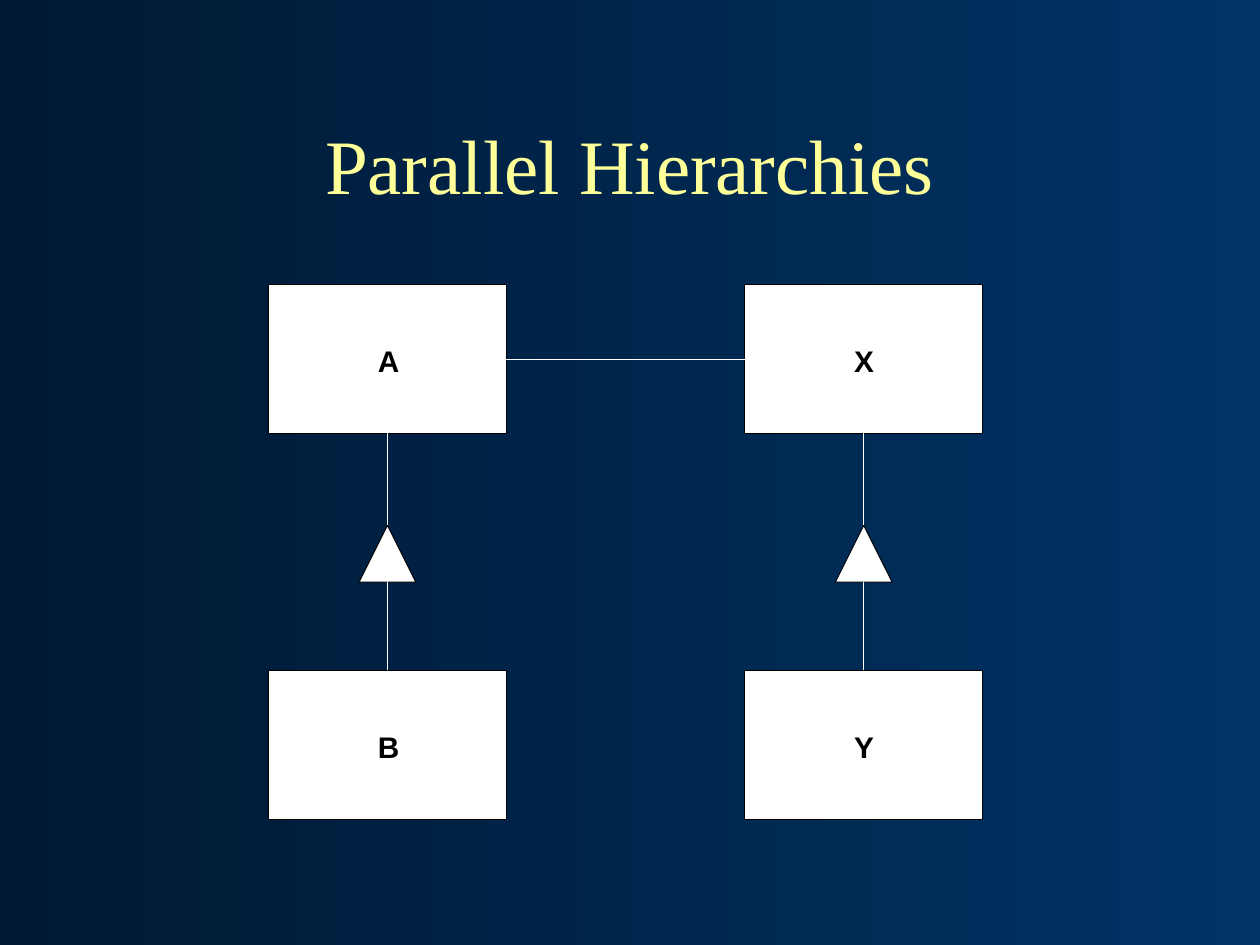
from pptx import Presentation
from pptx.dml.color import RGBColor
from pptx.enum.shapes import MSO_CONNECTOR, MSO_SHAPE
from pptx.enum.text import MSO_ANCHOR, PP_ALIGN
from pptx.oxml.ns import qn
from pptx.util import Inches, Pt
from lxml import etree

RECT = MSO_SHAPE.RECTANGLE
PEAK = MSO_SHAPE.ISOSCELES_TRIANGLE
LINE = MSO_CONNECTOR.STRAIGHT
MIDDLE = MSO_ANCHOR.MIDDLE
TOP = MSO_ANCHOR.TOP
CENTER = PP_ALIGN.CENTER
LEFT = PP_ALIGN.LEFT

BLUE = RGBColor(0x00, 0x33, 0x66)
NAVY = RGBColor(0x00, 0x19, 0x32)
YELLOW = RGBColor(0xFF, 0xFF, 0x99)
WHITE = RGBColor(0xFF, 0xFF, 0xFF)
BLACK = RGBColor(0x00, 0x00, 0x00)

deck = Presentation()
deck.slide_width = Inches(10)
deck.slide_height = Inches(7.5)
slide = deck.slides.add_slide(deck.slide_layouts[6])
shapes = slide.shapes

back = slide.background.fill
back.gradient()
back.gradient_angle = 180
for stop, color in zip(back.gradient_stops, (BLUE, NAVY)):
    stop.color.rgb = color


def add_text(text, x, y, w, h, font, size, color, bold=False,
             align=LEFT, anchor=TOP, wrap=False, inset=(0, 0)):
    box = shapes.add_textbox(Inches(x), Inches(y), Inches(w), Inches(h))
    frame = box.text_frame
    frame.word_wrap = wrap
    frame.vertical_anchor = anchor
    frame.margin_left = frame.margin_right = Inches(inset[0])
    frame.margin_top = frame.margin_bottom = Inches(inset[1])
    para = frame.paragraphs[0]
    para.alignment = align
    run = para.add_run()
    run.text = text
    run.font.name = font
    run.font.size = Pt(size)
    run.font.bold = bold
    run.font.color.rgb = color


def add_block(kind, x, y, w, h):
    block = shapes.add_shape(kind, Inches(x), Inches(y), Inches(w), Inches(h))
    block.shadow.inherit = False
    block.fill.solid()
    block.fill.fore_color.rgb = WHITE
    block.line.color.rgb = BLACK
    block.line.width = Pt(0.5)
    return block


add_text("Parallel Hierarchies", 0.75, 0.67, 8.5, 1.25, font="Times New Roman",
         size=44, color=YELLOW, align=CENTER, anchor=MIDDLE, wrap=True,
         inset=(0.1, 0.05))

WIDE, HIGH = 1.89, 1.18
SIDE = 0.45
PEAK_TOP = 4.17

parents = []
links = []
for left, names in ((2.13, "AB"), (5.91, "XY")):
    pair = []
    for name, top in zip(names, (2.26, 5.32)):
        pair.append(add_block(RECT, left, top, WIDE, HIGH))
        add_text(name, left + 0.87, top + 0.46, 0.17, 0.28, font="Arial",
                 size=17, color=BLACK, bold=True)
    mid = left + WIDE / 2
    add_block(PEAK, mid - SIDE / 2, PEAK_TOP, SIDE, SIDE)
    parent, child = pair
    parents.append(parent)
    for box, site, end in ((parent, 2, PEAK_TOP), (child, 0, PEAK_TOP + SIDE)):
        link = shapes.add_connector(LINE, 0, 0, Inches(mid), Inches(end))
        link.begin_connect(box, site)
        link.end_x = link.begin_x
        links.append(link)

bridge = shapes.add_connector(LINE, 0, 0, 0, 0)
bridge.begin_connect(parents[0], 3)
bridge.end_connect(parents[1], 1)
links.append(bridge)

for link in links:
    link.line.color.rgb = WHITE
    link.line.width = Pt(0.5)
    etree.SubElement(link._element.spPr, qn("a:effectLst"))

deck.save("out.pptx")
